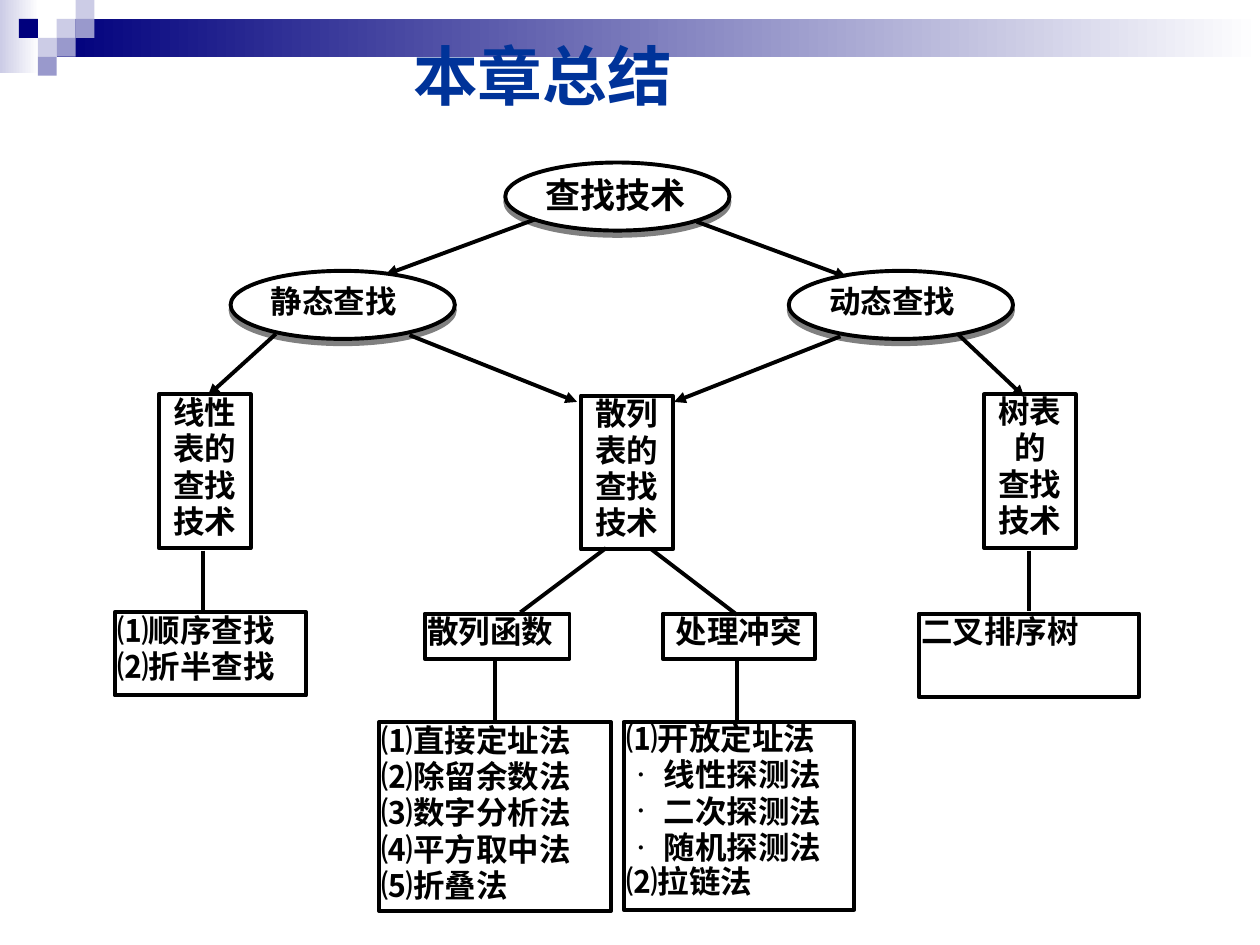
from lxml import etree
from pptx import Presentation
from pptx.dml.color import RGBColor
from pptx.enum.shapes import MSO_CONNECTOR, MSO_SHAPE
from pptx.enum.text import MSO_ANCHOR, MSO_AUTO_SIZE, PP_ALIGN
from pptx.oxml.ns import qn
from pptx.util import Inches, Pt

COLORS = {
    "navy": "00007D", "violet": "9999CC", "lavender": "CCCCE6",
    "title": "003399", "ink": "000000", "paper": "FFFFFF", "shade": "808080",
}
FONT = "Times New Roman"
BULLET = "· "


def color(name):
    return RGBColor.from_string(COLORS[name])


def add_bullet(paragraph):
    properties = paragraph._p.get_or_add_pPr()
    properties.set("marL", str(Inches(0.3)))
    properties.set("indent", str(-Inches(0.23)))
    etree.SubElement(properties, qn("a:buSzPct"), val="111000")
    etree.SubElement(properties, qn("a:buFont"), typeface=FONT)
    etree.SubElement(properties, qn("a:buChar"), char=BULLET.strip())


def write(shape, text, size=18, ink="ink", align=PP_ALIGN.JUSTIFY, spacing=0.96,
          anchor=MSO_ANCHOR.TOP, insets=(0.02, 0.01, 0.02, 0.01), bullet_gap=1.3):
    """Fill a shape with one paragraph per line; lines led by BULLET get a bullet."""
    frame = shape.text_frame
    frame.word_wrap = True
    frame.auto_size = MSO_AUTO_SIZE.NONE
    frame.vertical_anchor = anchor
    (frame.margin_left, frame.margin_top,
     frame.margin_right, frame.margin_bottom) = map(Inches, insets)
    for index, line in enumerate(text.split("\n")):
        paragraph = frame.paragraphs[0] if index == 0 else frame.add_paragraph()
        paragraph.alignment = align
        paragraph.line_spacing = spacing
        paragraph.space_before = Pt(0)
        if line.startswith(BULLET):
            paragraph.space_before = Pt(bullet_gap)
            add_bullet(paragraph)
        run = paragraph.add_run()
        run.text = line.removeprefix(BULLET)
        run.font.name = FONT
        run.font.size = Pt(size)
        run.font.bold = True
        run.font.color.rgb = color(ink)


def add_block(slide, preset, left, top, width, height, fill="paper", fade=False, outline=False):
    """Add a preset shape, plain or fading to the paper colour."""
    block = slide.shapes.add_shape(
        preset, Inches(left), Inches(top), Inches(width), Inches(height))
    block.shadow.inherit = False
    if fade:
        block.fill.gradient()
        block.fill.gradient_angle = 0
        for stop, name in zip(block.fill.gradient_stops, (fill, "paper")):
            stop.color.rgb = color(name)
    else:
        block.fill.solid()
        block.fill.fore_color.rgb = color(fill)
    if outline:
        block.line.color.rgb = color("ink")
        block.line.width = Pt(2.25)
    else:
        block.line.fill.background()
    return block


def add_drop_shadow(shape):
    effects = shape._element.spPr.find(qn("a:effectLst"))
    shadow = etree.SubElement(effects, qn("a:outerShdw"), blurRad="0", dist=str(Pt(3)),
                              dir="5400000", algn="ctr", rotWithShape="0")
    etree.SubElement(shadow, qn("a:srgbClr"), val=COLORS["shade"])


def add_link(slide, start, end, arrow=False):
    link = slide.shapes.add_connector(
        MSO_CONNECTOR.STRAIGHT, *(Inches(value) for value in (*start, *end)))
    link.line.color.rgb = color("ink")
    link.line.width = Pt(2.25)
    if arrow:
        etree.SubElement(link.line._get_or_add_ln(), qn("a:tailEnd"), type="triangle")
    etree.SubElement(link._element.spPr, qn("a:effectLst"))


def draw_banner(slide, left, top, width):
    tile = 0.15
    add_block(slide, MSO_SHAPE.RECTANGLE, left, top, 0.31, 0.58, "lavender", fade=True)
    add_block(slide, MSO_SHAPE.RECTANGLE, left + 3 * tile, top + tile,
              width - 3 * tile, 2 * tile, "navy", fade=True)
    tiles = [(3, 1, "lavender"), (4, 0, "lavender"), (4, 1, "violet"), (2, 2, "lavender"),
             (1, 1, "navy"), (3, 2, "violet"), (2, 3, "violet")]
    for column, row, fill in tiles:
        add_block(slide, MSO_SHAPE.RECTANGLE, left + column * tile, top + row * tile,
                  tile, tile, fill)


def draw_title(slide, left, top, width, height):
    title = slide.shapes.title
    title.left, title.top, title.width, title.height = map(Inches, (left, top, width, height))
    write(title, "本章总结", size=37, ink="title", align=PP_ALIGN.LEFT, spacing=0.9,
          anchor=MSO_ANCHOR.MIDDLE, insets=(0.1, 0.05, 0.1, 0.05))
    title.element.getparent().append(title.element)  # in front of the banner


def draw_topics(slide, left, top):
    topics = [(3.10, 0, "查找技术", 20), (0.92, 0.86, "静态查找", 18), (5.35, 0.86, "动态查找", 18)]
    for x, y, text, size in topics:
        topic = add_block(slide, MSO_SHAPE.OVAL, left + x, top + y, 1.78, 0.54, outline=True)
        add_drop_shadow(topic)
        write(topic, text, size=size, spacing=1.0, insets=(0.06, 0.01, 0.06, 0.01))


def draw_techniques(slide, left, top):
    centered = {"align": PP_ALIGN.CENTER}
    techniques = [
        (0.35, 1.84, 0.73, 1.22, "线性表的查找技术", centered),
        (6.90, 1.84, 0.73, 1.22, "树表的\n查找技术", centered | {"insets": (0.02, 0, 0.02, 0)}),
        (3.70, 1.85, 0.73, 1.22, "散列表的查找技术", centered),
        (0, 3.57, 1.52, 0.66, "⑴顺序查找\n⑵折半查找", {}),
        (6.38, 3.58, 1.75, 0.66, "二叉排序树", {}),
        (2.46, 3.58, 1.15, 0.36, "散列函数", {}),
        (4.35, 3.58, 1.21, 0.36, "处理冲突", centered),
        (4.04, 4.44, 1.83, 1.49,
         "⑴开放定址法\n· 线性探测法\n· 二次探测法\n· 随机探测法\n⑵拉链法", {"spacing": 0.9}),
        (2.10, 4.44, 1.84, 1.50,
         "⑴直接定址法\n⑵除留余数法\n⑶数字分析法\n⑷平方取中法\n⑸折叠法", {}),
    ]
    for x, y, width, height, text, text_format in techniques:
        box = add_block(slide, MSO_SHAPE.RECTANGLE, left + x, top + y, width, height, outline=True)
        write(box, text, **text_format)


def draw_links(slide, left, top):
    arrows = [
        (3.34, 0.45, 2.15, 0.89), (4.62, 0.47, 5.81, 0.91),
        (1.28, 1.36, 0.74, 1.85), (2.34, 1.37, 3.67, 1.90),
        (6.69, 1.36, 7.22, 1.86), (5.76, 1.38, 4.44, 1.90),
    ]
    plain_lines = [
        (3.90, 3.06, 3.22, 3.57), (4.26, 3.07, 4.94, 3.59),
        (0.70, 3.08, 0.70, 3.56), (7.26, 3.08, 7.26, 3.56),
        (3.02, 3.94, 3.02, 4.43), (4.94, 3.94, 4.94, 4.43),
    ]
    for links, arrow in ((plain_lines, False), (arrows, True)):
        for x1, y1, x2, y2 in links:
            add_link(slide, (left + x1, top + y1), (left + x2, top + y2), arrow)


def main():
    deck = Presentation()
    deck.slide_width, deck.slide_height = Inches(10), Inches(7.5)
    slide = deck.slides.add_slide(deck.slide_layouts[5])
    draw_banner(slide, 0, 0, 10)
    draw_title(slide, 3.18, 0.26, 3.39, 0.75)
    for draw_part in (draw_topics, draw_techniques, draw_links):
        draw_part(slide, 0.91, 1.29)
    deck.save("out.pptx")


if __name__ == "__main__":
    main()
